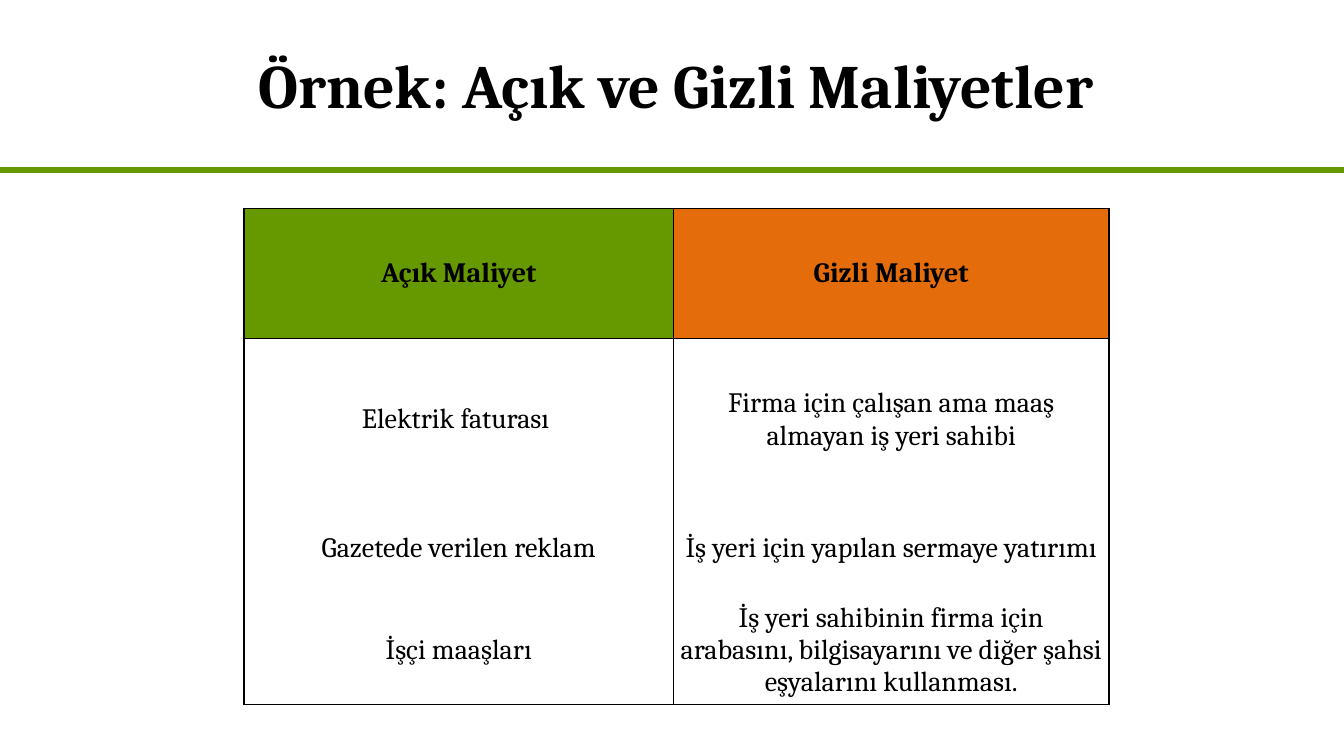
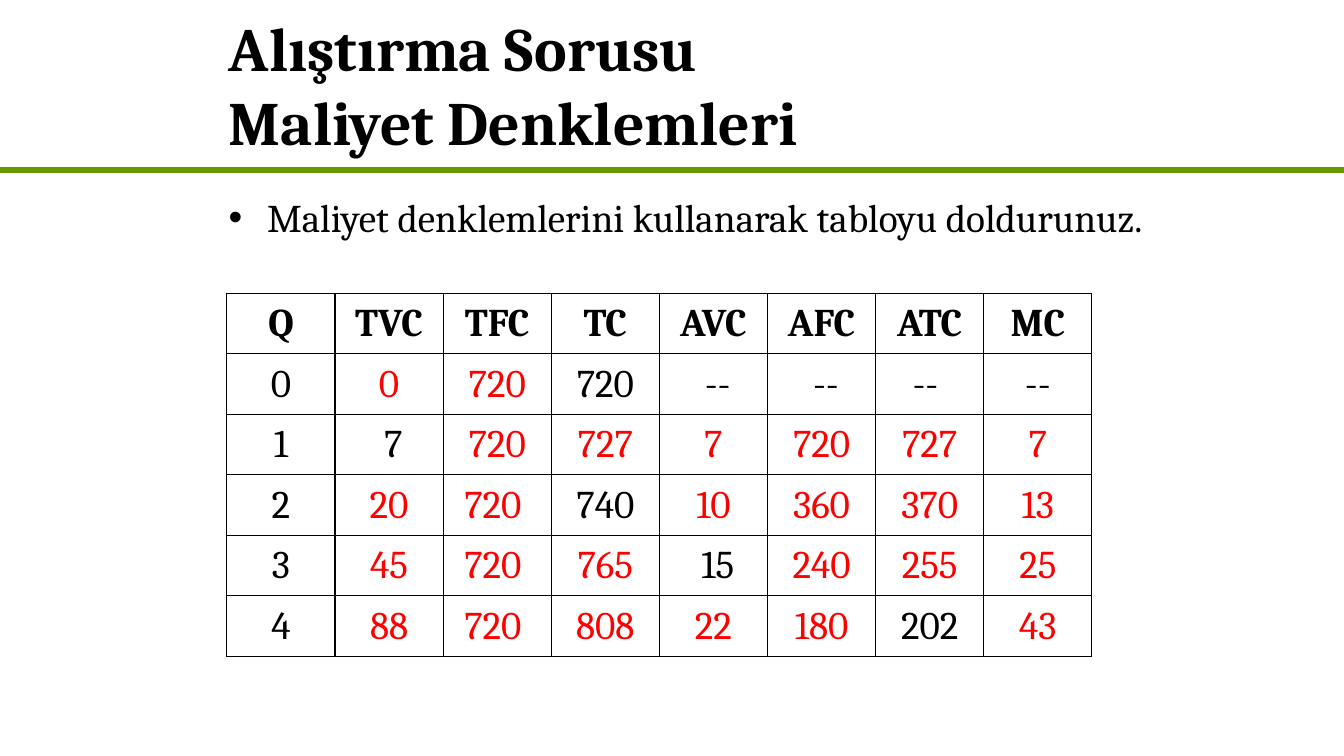
import lxml.etree
import pptx
import pptx.dml.color
import pptx.enum.shapes
import pptx.enum.text
import pptx.oxml.ns
import pptx.util

Inches = pptx.util.Inches
Point = pptx.util.Pt
Align = pptx.enum.text.PP_ALIGN
Anchor = pptx.enum.text.MSO_ANCHOR
qualified = pptx.oxml.ns.qn

COLORS = {"text": "000000", "answer": "FF0000", "green": "669900", "orange": "E46C0A"}
FONT = "Cambria"
SLIDE_WIDTH, SLIDE_HEIGHT = 13.33, 7.5
RULE_TOP = 1.69
TITLE_HEIGHT = 1.67
TABLE_WIDTH = 8.58
SIDES = {"left": "a:lnL", "right": "a:lnR", "top": "a:lnT", "bottom": "a:lnB"}

COST_TITLE = "Örnek: Açık ve Gizli Maliyetler"
COST_ROWS = [
    ("Açık Maliyet", "Gizli Maliyet"),
    ("Elektrik faturası ", "Firma için çalışan ama maaş almayan iş yeri sahibi"),
    ("Gazetede verilen reklam", "İş yeri için yapılan sermaye yatırımı"),
    ("İşçi maaşları", "İş yeri sahibinin firma için arabasını, bilgisayarını ve diğer "
                      "şahsi eşyalarını kullanması."),
]
COST_COLUMN_WIDTHS = [4.26, 4.32]
COST_ROW_HEIGHTS = [1.29, 1.61, 0.95, 1.07]
COST_HEADER_FILLS = ["green", "orange"]

EXERCISE_TITLE = "Alıştırma Sorusu\vMaliyet Denklemleri"
EXERCISE_TASK = "Maliyet denklemlerini kullanarak tabloyu doldurunuz."
EXERCISE_ROWS = [
    ("Q", "TVC", "TFC", "TC", "AVC", "AFC", "ATC", "MC"),
    ("0", "0", "720", "720", " --", " --", "-- ", "--"),
    ("1", " 7", "720", "727", "7", "720", "727", "7"),
    ("2", "20", "720 ", "740", "10", "360", "370", "13"),
    ("3", "45", "720 ", "765", " 15", "240", "255", "25"),
    ("4", "88", "720 ", "808", "22", "180", "202", "43"),
]
EXERCISE_ROW_HEIGHT = 0.6
GIVEN_VALUES = {(1, 3), (2, 1), (3, 3), (4, 4), (5, 6)}


def rgb(name):
    return pptx.dml.color.RGBColor.from_string(COLORS[name])


def format_text(text_frame, size, bold=False, color="text", align=Align.LEFT):
    for paragraph in text_frame.paragraphs:
        paragraph.alignment = align
        for run in paragraph.runs:
            run.font.name = FONT
            run.font.size = Point(size)
            run.font.bold = bold
            run.font.color.rgb = rgb(color)


def add_titled_slide(presentation, title_text, left, width, align):
    """Add a title-only slide with the green rule under its title."""
    slide = presentation.slides.add_slide(presentation.slide_layouts[5])
    rule = slide.shapes.add_connector(
        pptx.enum.shapes.MSO_CONNECTOR.STRAIGHT,
        0, Inches(RULE_TOP), Inches(SLIDE_WIDTH), Inches(RULE_TOP))
    rule.line.color.rgb = rgb("green")
    rule.line.width = Point(4.5)
    lxml.etree.SubElement(rule.element.spPr, qualified("a:effectLst"))

    title = slide.shapes.title
    title.left, title.top = Inches(left), 0
    title.width, title.height = Inches(width), Inches(TITLE_HEIGHT)
    title.text_frame.text = title_text
    title.text_frame.auto_size = pptx.enum.text.MSO_AUTO_SIZE.NONE
    title.text_frame.vertical_anchor = Anchor.MIDDLE
    format_text(title.text_frame, 44, bold=True, align=align)
    return slide


def set_borders(cell, visible_sides):
    properties = cell._tc.get_or_add_tcPr()
    for side, tag in SIDES.items():
        line = lxml.etree.SubElement(properties, qualified(tag), w=str(Point(1)))
        if side in visible_sides:
            fill = lxml.etree.SubElement(line, qualified("a:solidFill"))
            lxml.etree.SubElement(fill, qualified("a:srgbClr"), val=COLORS["text"])
        else:
            lxml.etree.SubElement(line, qualified("a:noFill"))


def add_grid(slide, rows, left, top, column_widths, row_heights, margins, style_of):
    """Add a table; style_of(row, column) gives size, colour, fill and borders."""
    frame = slide.shapes.add_table(
        len(rows), len(column_widths), Inches(left), Inches(top),
        Inches(sum(column_widths)), Inches(sum(row_heights)))
    table = frame.table
    table.first_row = table.horz_banding = False
    for column, width in zip(table.columns, column_widths):
        column.width = Inches(width)
    for row, height in zip(table.rows, row_heights):
        row.height = Inches(height)
    for row_index, values in enumerate(rows):
        for column_index, value in enumerate(values):
            cell = table.cell(row_index, column_index)
            size, color, fill, borders = style_of(row_index, column_index)
            cell.margin_left = cell.margin_right = Inches(margins[0])
            cell.margin_top, cell.margin_bottom = Inches(margins[1]), 0
            cell.vertical_anchor = Anchor.MIDDLE
            cell.text_frame.text = value
            format_text(cell.text_frame, size, row_index == 0, color, Align.CENTER)
            set_borders(cell, borders)
            if fill:
                cell.fill.solid()
                cell.fill.fore_color.rgb = rgb(fill)
            else:
                cell.fill.background()


def cost_style(row, column):
    """Only the header is filled, and the rows below it share one open box."""
    borders = {"left", "right"}
    if row <= 1:
        borders.add("top")
    if row in (0, len(COST_ROWS) - 1):
        borders.add("bottom")
    return 20, "text", COST_HEADER_FILLS[column] if row == 0 else None, borders


def exercise_style(row, column):
    """Values that the student works out are red."""
    is_fixed = (row == 0 or column == 0 or (row, column) in GIVEN_VALUES
                or "--" in EXERCISE_ROWS[row][column])
    return 28, "text" if is_fixed else "answer", None, SIDES


def add_bullet(slide, text, left, top, width, height):
    box = slide.shapes.add_textbox(
        Inches(left), Inches(top), Inches(width), Inches(height))
    box.text_frame.word_wrap = True
    box.text_frame.text = text
    format_text(box.text_frame, 28)
    paragraph = box.text_frame.paragraphs[0]
    paragraph.space_before = Point(5.6)
    properties = paragraph._p.get_or_add_pPr()
    properties.set("marL", str(Inches(0.38)))
    properties.set("indent", str(-Inches(0.38)))
    lxml.etree.SubElement(properties, qualified("a:buFont"), typeface="Arial")
    lxml.etree.SubElement(properties, qualified("a:buChar"), char="•")


def main():
    presentation = pptx.Presentation()
    presentation.slide_width = Inches(SLIDE_WIDTH)
    presentation.slide_height = Inches(SLIDE_HEIGHT)

    cost_slide = add_titled_slide(presentation, COST_TITLE, 1.78, 9.85, Align.CENTER)
    add_grid(cost_slide, COST_ROWS, 2.42, 2.07, COST_COLUMN_WIDTHS,
             COST_ROW_HEIGHTS, (0.07, 0), cost_style)

    exercise_slide = add_titled_slide(presentation, EXERCISE_TITLE, 2.17, 9, Align.LEFT)
    add_bullet(exercise_slide, EXERCISE_TASK, 2.17, 1.87, 9.95, 0.73)
    column_count = len(EXERCISE_ROWS[0])
    add_grid(exercise_slide, EXERCISE_ROWS, 2.25, 2.91,
             [TABLE_WIDTH / column_count] * column_count,
             [EXERCISE_ROW_HEIGHT] * len(EXERCISE_ROWS), (0.01, 0.01), exercise_style)

    presentation.save("out.pptx")


if __name__ == "__main__":
    main()
